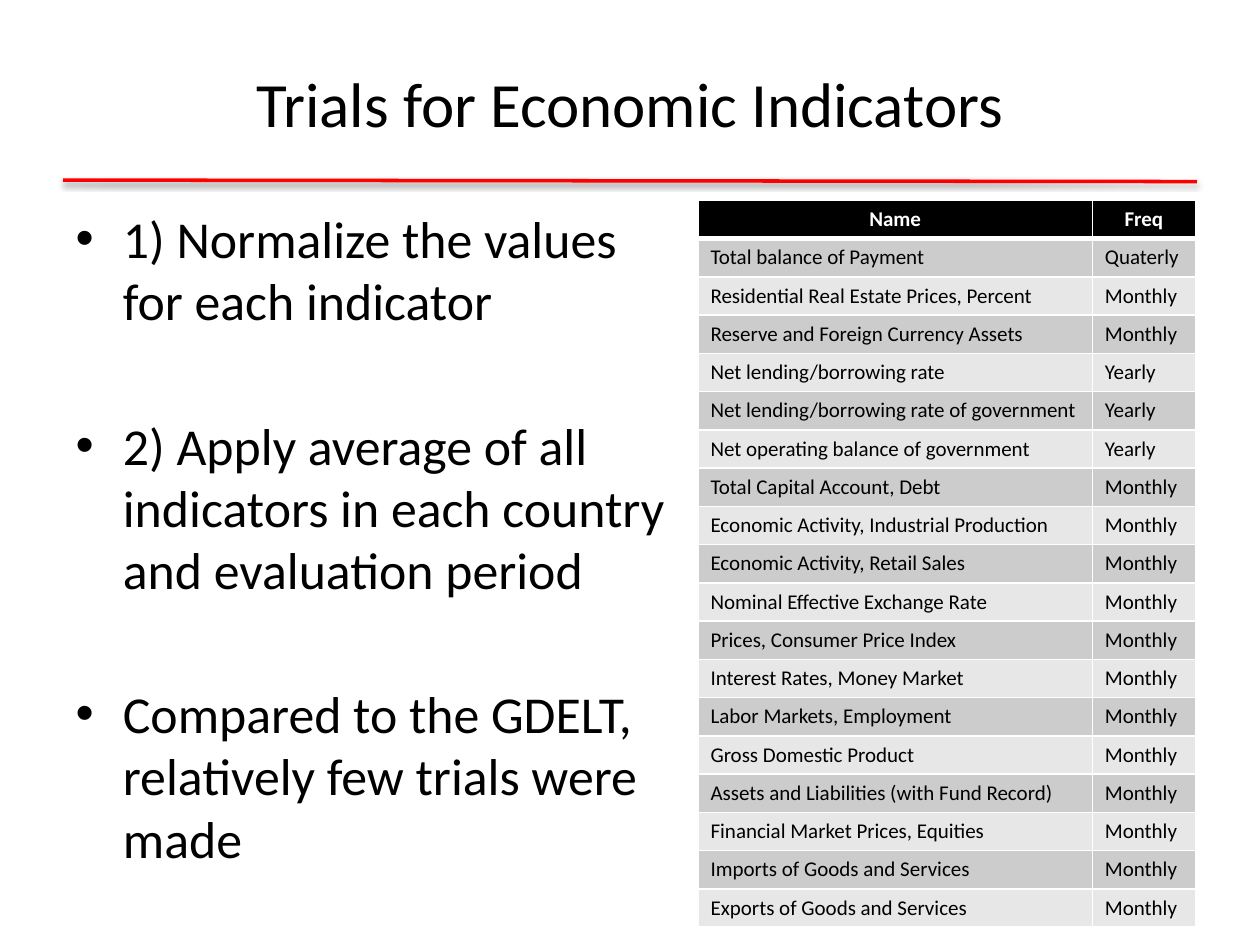
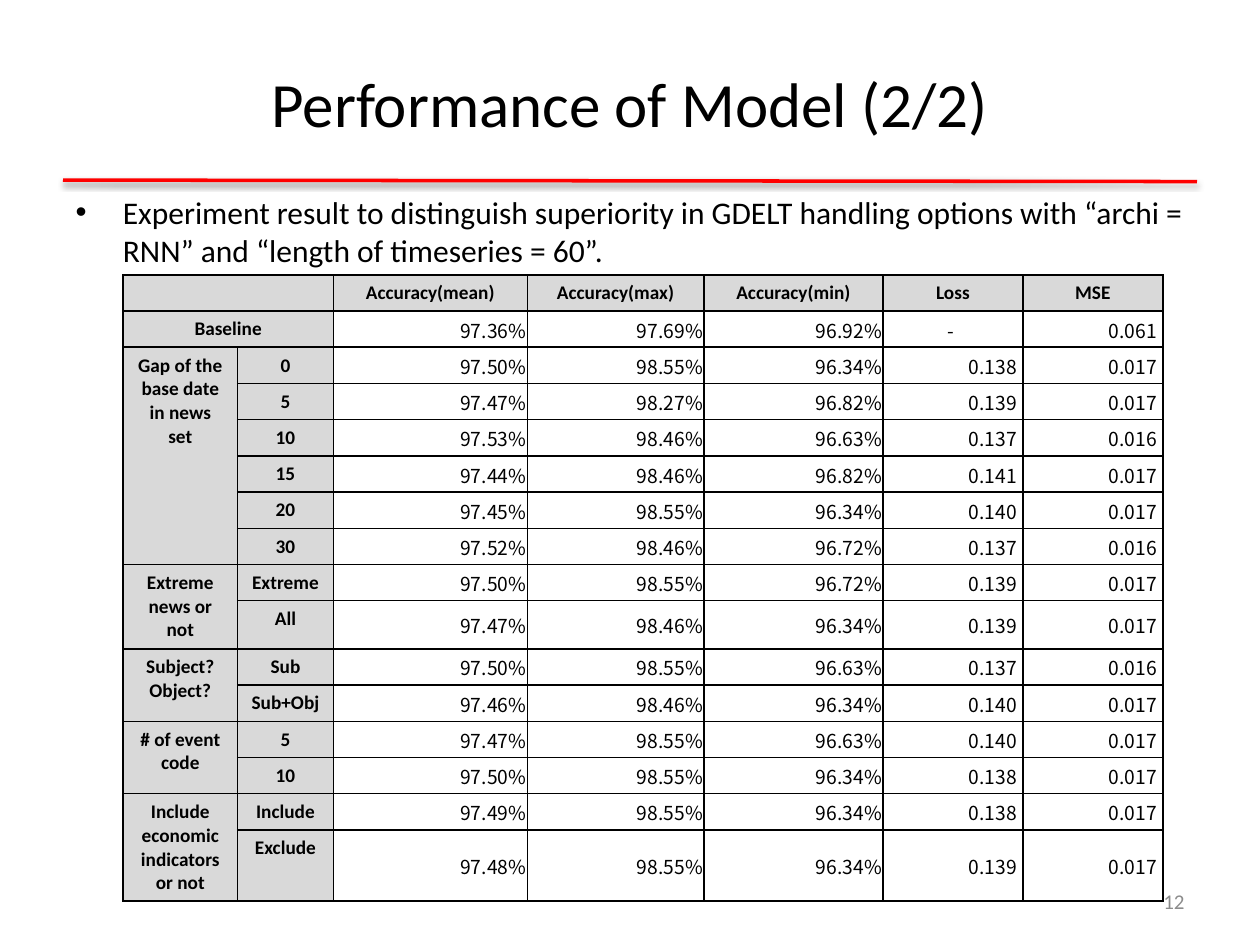
import pptx
import pptx.util
import pptx.dml.color
import pptx.enum.shapes
import pptx.enum.text
import pptx.oxml.ns
import lxml.etree
from dataclasses import dataclass

Cm = pptx.util.Cm
Pt = pptx.util.Pt
ALIGN = pptx.enum.text.PP_ALIGN
ANCHOR = pptx.enum.text.MSO_ANCHOR


@dataclass(frozen=True)
class Theme:
    font: str = "Calibri"
    number_font: str = "Noto Sans CJK KR"
    black: str = "000000"
    white: str = "FFFFFF"
    rule: str = "FF0000"
    page_number: str = "8C8C8C"
    bands: tuple = ("CCCCCC", "E7E7E7")
    label_fill: str = "D9D9D9"
    title_size: float = 36
    list_size: float = 29.6
    note_size: float = 18
    indicator_size: float = 12
    result_size: float = 11
    page_size: float = 12


THEME = Theme()

TRIALS_TITLE = "Trials for Economic Indicators"
TRIALS = [
    "1) Normalize the values for each indicator",
    "2) Apply average of all indicators in each country and evaluation period",
    "Compared to the GDELT, relatively few trials were made",
]
INDICATORS = [
    ("Name", "Freq"),
    ("Total balance of Payment", "Quaterly"),
    ("Residential Real Estate Prices, Percent", "Monthly"),
    ("Reserve and Foreign Currency Assets", "Monthly"),
    ("Net lending/borrowing rate", "Yearly"),
    ("Net lending/borrowing rate of government", "Yearly"),
    ("Net operating balance of government", "Yearly"),
    ("Total Capital Account, Debt", "Monthly"),
    ("Economic Activity, Industrial Production", "Monthly"),
    ("Economic Activity, Retail Sales", "Monthly"),
    ("Nominal Effective Exchange Rate", "Monthly"),
    ("Prices, Consumer Price Index", "Monthly"),
    ("Interest Rates, Money Market", "Monthly"),
    ("Labor Markets, Employment", "Monthly"),
    ("Gross Domestic Product", "Monthly"),
    ("Assets and Liabilities (with Fund Record)", "Monthly"),
    ("Financial Market Prices, Equities", "Monthly"),
    ("Imports of Goods and Services", "Monthly"),
    ("Exports of Goods and Services", "Monthly"),
]
INDICATOR_WIDTHS = [7.95, 2.08]
INDICATOR_ROW = 0.77

RESULTS_TITLE = "Performance of Model (2/2)"
RESULTS_NOTE = [
    "Experiment result to distinguish superiority in GDELT handling options "
    "with “archi = RNN” and “length of timeseries = 60”."
]
RESULTS_HEADER = ["Accuracy(mean)", "Accuracy(max)", "Accuracy(min)", "Loss", "MSE"]
BASELINE = ("97.36%", "97.69%", "96.92%", "-", "0.061")
RESULT_GROUPS = [
    ("Gap of the base date in news set", [
        ("0", "97.50%", "98.55%", "96.34%", "0.138", "0.017"),
        ("5", "97.47%", "98.27%", "96.82%", "0.139", "0.017"),
        ("10", "97.53%", "98.46%", "96.63%", "0.137", "0.016"),
        ("15", "97.44%", "98.46%", "96.82%", "0.141", "0.017"),
        ("20", "97.45%", "98.55%", "96.34%", "0.140", "0.017"),
        ("30", "97.52%", "98.46%", "96.72%", "0.137", "0.016"),
    ]),
    ("Extreme news or not", [
        ("Extreme", "97.50%", "98.55%", "96.72%", "0.139", "0.017"),
        ("All", "97.47%", "98.46%", "96.34%", "0.139", "0.017"),
    ]),
    ("Subject? Object?", [
        ("Sub", "97.50%", "98.55%", "96.63%", "0.137", "0.016"),
        ("Sub+Obj", "97.46%", "98.46%", "96.34%", "0.140", "0.017"),
    ]),
    ("# of event code", [
        ("5", "97.47%", "98.55%", "96.63%", "0.140", "0.017"),
        ("10", "97.50%", "98.55%", "96.34%", "0.138", "0.017"),
    ]),
    ("Include economic indicators or not", [
        ("Include", "97.49%", "98.55%", "96.34%", "0.138", "0.017"),
        ("Exclude", "97.48%", "98.55%", "96.34%", "0.139", "0.017"),
    ]),
]
RESULT_WIDTHS = [2.31, 1.93, 3.91, 3.56, 3.61, 2.82, 2.82]
RESULT_ROW = 0.73
TALL_ROWS = {"All": 0.97, "Exclude": 1.43}
PAGE_NUMBER = "12"


def rgb(color):
    return pptx.dml.color.RGBColor.from_string(color)


def add_xml(parent, tag, **attributes):
    return lxml.etree.SubElement(parent, pptx.oxml.ns.qn(tag), attributes)


def write_text(paragraph, text, size, color=THEME.black, font=THEME.font,
               bold=False, align=ALIGN.LEFT, space_before=None):
    paragraph.alignment = align
    if space_before is not None:
        paragraph.space_before = Pt(space_before)
    if not text:
        add_xml(paragraph._p, "a:endParaRPr", sz=str(int(size * 100)))
        return
    run = paragraph.add_run()
    run.text = text
    run.font.name = font
    run.font.size = Pt(size)
    run.font.bold = bold
    run.font.color.rgb = rgb(color)


def place(shape, left, top, width, height):
    shape.left, shape.top = Cm(left), Cm(top)
    shape.width, shape.height = Cm(width), Cm(height)


def add_slide(presentation, title, items, box, size, gap):
    slide = presentation.slides.add_slide(presentation.slide_layouts[1])
    place(slide.shapes.title, 1.27, 0.76, 22.86, 2.6)
    title_frame = slide.shapes.title.text_frame
    title_frame.vertical_anchor = ANCHOR.MIDDLE
    write_text(title_frame.paragraphs[0], title, THEME.title_size, align=ALIGN.CENTER)
    body = slide.placeholders[1]
    place(body, *box)
    frame = body.text_frame
    frame.auto_size = pptx.enum.text.MSO_AUTO_SIZE.NONE
    for index, item in enumerate(items):
        paragraph = frame.add_paragraph() if index else frame.paragraphs[0]
        write_text(paragraph, item, size, space_before=gap if index else None)
    return slide


def add_title_rule(slide):
    rule = slide.shapes.add_connector(pptx.enum.shapes.MSO_CONNECTOR.STRAIGHT,
                                      Cm(1.27), Cm(3.63), Cm(24.13), Cm(3.66))
    rule.line.color.rgb = rgb(THEME.rule)
    rule.line.width = Pt(2)
    effects = add_xml(rule.element.spPr, "a:effectLst")
    shadow = add_xml(effects, "a:outerShdw", blurRad=str(Pt(3.1)), dist=str(Pt(1.6)),
                     dir="5400000", rotWithShape="0")
    shade = add_xml(shadow, "a:srgbClr", val=THEME.black)
    add_xml(shade, "a:alpha", val="38000")
    rule.element.xpath(".//p:cNvPr")[0].set("id", "20")
    slide.slide_layout.shapes.element.append(rule.element)


def add_table(slide, left, top, widths, heights):
    table = slide.shapes.add_table(len(heights), len(widths), Cm(left), Cm(top),
                                   Cm(sum(widths)), Cm(sum(heights))).table
    for column, width in zip(table.columns, widths):
        column.width = Cm(width)
    for row, height in zip(table.rows, heights):
        row.height = Cm(height)
    return table


def style_cell(cell, fill, border, bottom=1, top=1):
    properties = cell._tc.get_or_add_tcPr()
    for side, width in (("L", 1), ("R", 1), ("T", top), ("B", bottom)):
        line = add_xml(properties, "a:ln" + side, w=str(Pt(width)))
        add_xml(add_xml(line, "a:solidFill"), "a:srgbClr", val=border)
    if fill:
        cell.fill.solid()
        cell.fill.fore_color.rgb = rgb(fill)
    else:
        cell.fill.background()


def add_indicator_table(slide):
    table = add_table(slide, 14.07, 4.04, INDICATOR_WIDTHS, [INDICATOR_ROW] * len(INDICATORS))
    for row, record in enumerate(INDICATORS):
        header = row == 0
        for column, text in enumerate(record):
            cell = table.cell(row, column)
            style_cell(cell, THEME.black if header else THEME.bands[(row - 1) % 2],
                       THEME.white, bottom=3 if header else 1, top=3 if row == 1 else 1)
            write_text(cell.text_frame.paragraphs[0], text, THEME.indicator_size,
                       color=THEME.white if header else THEME.black, bold=header,
                       align=ALIGN.CENTER if header else ALIGN.LEFT)


def add_result_table(slide):
    rows = [("", "", *RESULTS_HEADER), ("Baseline", "", *BASELINE)]
    merges = [(0, 0, 0, 1), (1, 0, 1, 1)]
    for label, records in RESULT_GROUPS:
        merges.append((len(rows), 0, len(rows) + len(records) - 1, 0))
        rows += [("" if index else label, *record) for index, record in enumerate(records)]
    heights = [TALL_ROWS.get(row[1], RESULT_ROW) for row in rows]
    table = add_table(slide, 2.48, 5.54, RESULT_WIDTHS, heights)
    for row, record in enumerate(rows):
        for column, text in enumerate(record):
            cell = table.cell(row, column)
            label = row == 0 or column < 2
            style_cell(cell, THEME.label_fill if label else None, THEME.black)
            if not label:
                cell.vertical_anchor = ANCHOR.MIDDLE
                cell.margin_left = cell.margin_top = Cm(0.02)
                cell.margin_right = Cm(0.02 if text.endswith("%") else 0.12)
                cell.margin_bottom = 0
            write_text(cell.text_frame.paragraphs[0], text, THEME.result_size, bold=label,
                       font=THEME.font if label else THEME.number_font,
                       align=ALIGN.CENTER if label or text == "-" else ALIGN.RIGHT)
    for first_row, first_column, last_row, last_column in merges:
        table.cell(first_row, first_column).merge(table.cell(last_row, last_column))


def add_page_number(slide, number):
    box = slide.shapes.add_textbox(Cm(18.2), Cm(17.65), Cm(5.93), Cm(1.02))
    box.text_frame.word_wrap = True
    box.text_frame.vertical_anchor = ANCHOR.MIDDLE
    write_text(box.text_frame.paragraphs[0], number, THEME.page_size,
               color=THEME.page_number, align=ALIGN.RIGHT)


presentation = pptx.Presentation()
presentation.slide_width, presentation.slide_height = Cm(25.4), Cm(19.05)

trials = add_slide(presentation, TRIALS_TITLE, TRIALS, (1.27, 4.04, 12.8, 14.25),
                   THEME.list_size, 47)
add_title_rule(trials)
add_indicator_table(trials)

results = add_slide(presentation, RESULTS_TITLE, RESULTS_NOTE, (1.27, 3.76, 22.86, 13.84),
                    THEME.note_size, 0)
add_page_number(results, PAGE_NUMBER)
add_result_table(results)

presentation.save("out.pptx")
